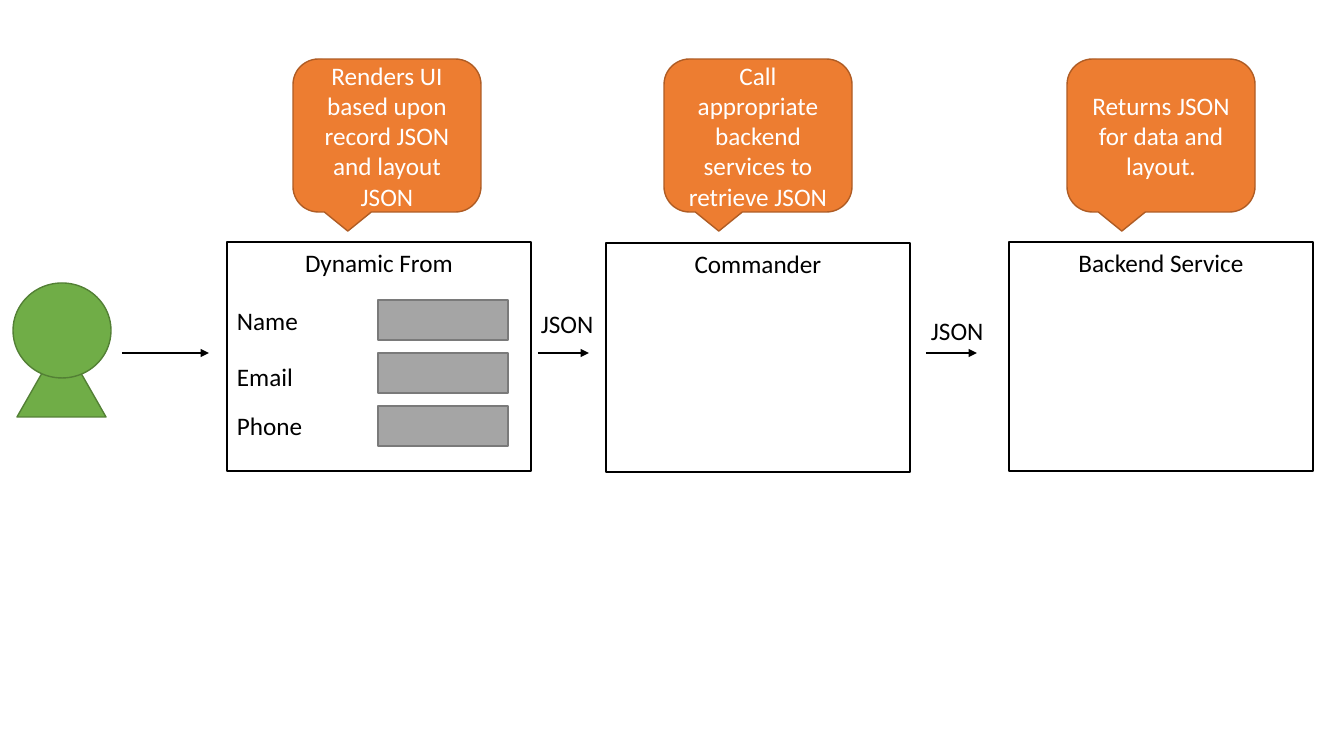
from lxml import etree
from pptx import Presentation
from pptx import util as u
from pptx.dml.color import RGBColor
from pptx.enum import shapes, text
from pptx.oxml.ns import qn

SCALE = 914400 / 100.8
FONT, SIZE = "Calibri", 18
BLACK, WHITE = "000000", "FFFFFF"
GREEN, GREEN_EDGE = "70AD47", "538035"
GREY, GREY_EDGE = "A5A5A5", "7A7A7A"
ORANGE, ORANGE_EDGE = "ED7D31", "AF5C24"

# title, box left, box top, callout left, callout wording
stages = [
    ("Dynamic From", 227, 242, 293,
     "Renders UI based upon record JSON and layout JSON"),
    ("Commander", 606, 243, 664,
     "Call appropriate backend services to retrieve JSON"),
    ("Backend Service", 1009, 242, 1067, "Returns JSON for data and layout."),
]
STAGE_W, STAGE_H = 304, 229
CALLOUT_TOP, CALLOUT_W, CALLOUT_H = 59, 188, 153

# label, label top, label width
fields = [("Name", 300, 82), ("Email", 356, 77), ("Phone", 405, 87)]
FIELD_LEFT, FIELD_TOP, FIELD_STEP = 378, 300, 53
FIELD_W, FIELD_H = 130, 40

# start and end of each arrow, all on one level
arrows = [(122, 209), (538, 589), (926, 977)]
ARROW_Y = 353
# left and top of each message name
messages = [("JSON", 531, 303), ("JSON", 921, 310)]
MESSAGE_W, LABEL_H = 74, 40

prs = Presentation()
prs.slide_width, prs.slide_height = u.Inches(13.333), u.Inches(7.5)
slide = prs.slides.add_slide(prs.slide_layouts[6])


def px(*lengths):
    """Turn pixels into EMU."""
    return [u.Emu(round(n * SCALE)) for n in lengths]


def colour(code):
    """Turn a hex string into a colour."""
    return RGBColor.from_string(code)


def write(frame, wording, ink, align, anchor):
    """Put one formatted paragraph into a text frame."""
    frame.text = wording
    frame.vertical_anchor = anchor
    line = frame.paragraphs[0]
    line.alignment = align
    font = line.runs[0].font
    font.name, font.size = FONT, u.Pt(SIZE)
    font.color.rgb = colour(ink)


def draw(kind, box, fill, edge, wording="", ink=BLACK,
         anchor=text.MSO_ANCHOR.TOP):
    """Add a filled preset shape, with centred text if there is any."""
    part = slide.shapes.add_shape(kind, *px(*box))
    part.shadow.inherit = False
    part.fill.solid()
    part.fill.fore_color.rgb = colour(fill)
    part.line.color.rgb = colour(edge)
    part.line.width = u.Pt(1)
    if wording:
        write(part.text_frame, wording, ink, text.PP_ALIGN.CENTER, anchor)


def label(wording, left, top, width):
    """Add a one-line text box."""
    frame = slide.shapes.add_textbox(*px(left, top, width, LABEL_H)).text_frame
    frame.word_wrap = False
    frame.auto_size = text.MSO_AUTO_SIZE.SHAPE_TO_FIT_TEXT
    write(frame, wording, BLACK, text.PP_ALIGN.LEFT, text.MSO_ANCHOR.TOP)


def arrow(start, end):
    """Add a level arrow pointing right."""
    link = slide.shapes.add_connector(
        shapes.MSO_CONNECTOR.STRAIGHT, *px(start, ARROW_Y, end, ARROW_Y))
    link.line.color.rgb = colour(BLACK)
    link.line.width = u.Pt(1.5)
    etree.SubElement(link.line._get_or_add_ln(), qn("a:tailEnd"),
                     type="triangle")
    etree.SubElement(link._element.spPr, qn("a:effectLst"))


preset = shapes.MSO_SHAPE

for title, left, top, callout_left, remark in stages:
    draw(preset.RECTANGLE, (left, top, STAGE_W, STAGE_H), WHITE, BLACK, title)
    draw(preset.ROUNDED_RECTANGULAR_CALLOUT,
         (callout_left, CALLOUT_TOP, CALLOUT_W, CALLOUT_H),
         ORANGE, ORANGE_EDGE, remark, WHITE, text.MSO_ANCHOR.MIDDLE)

for row, (name, label_top, width) in enumerate(fields):
    draw(preset.RECTANGLE,
         (FIELD_LEFT, FIELD_TOP + row * FIELD_STEP, FIELD_W, FIELD_H),
         GREY, GREY_EDGE)
    label(name, stages[0][1], label_top, width)

# The user: body, then head
draw(preset.ISOSCELES_TRIANGLE, (17, 339, 89, 78), GREEN, GREEN_EDGE)
draw(preset.OVAL, (13, 283, 98, 95), GREEN, GREEN_EDGE)

for start, end in arrows:
    arrow(start, end)
for name, left, top in messages:
    label(name, left, top, MESSAGE_W)

prs.save("out.pptx")
